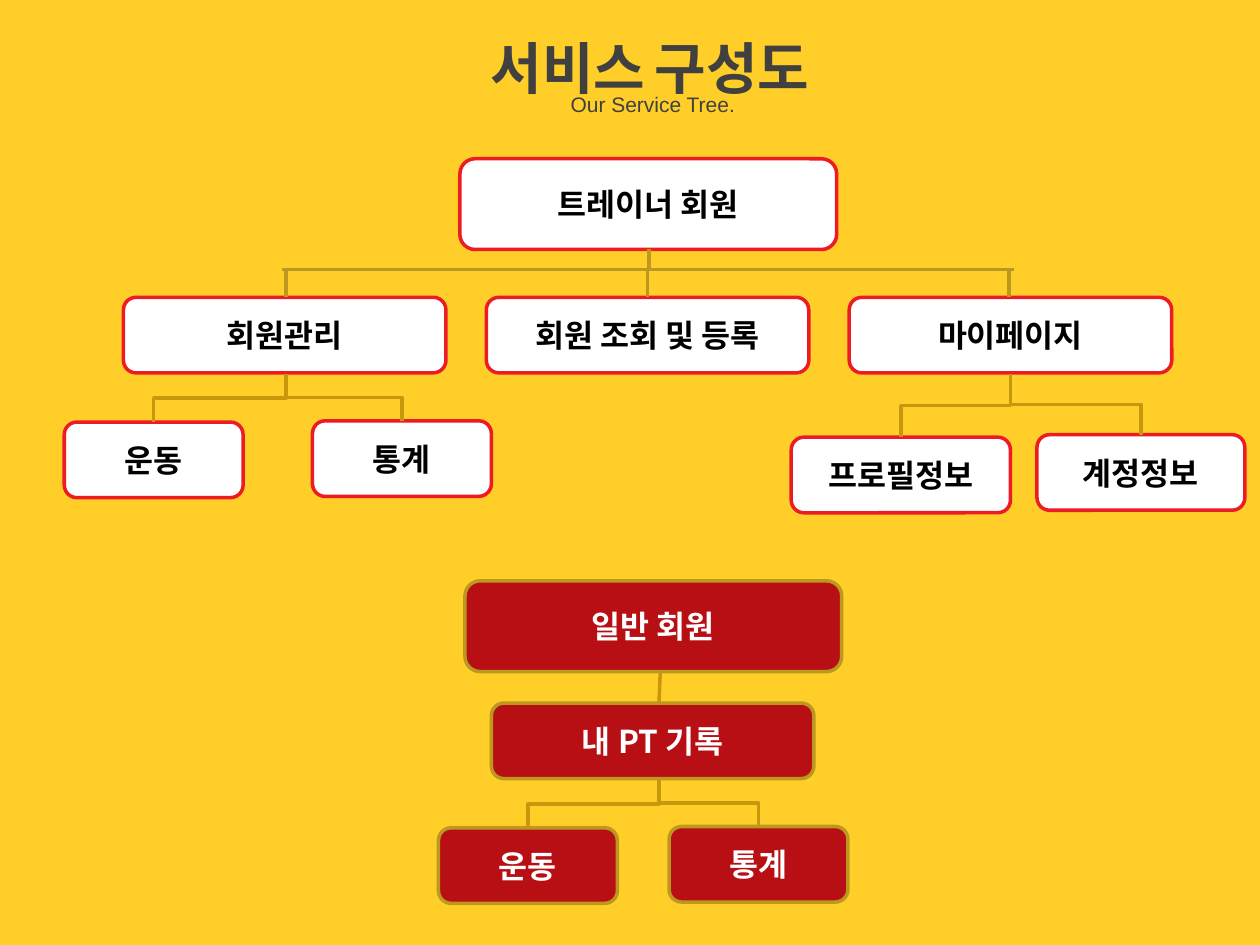
from lxml.etree import SubElement
from pptx import Presentation
from pptx.dml.color import RGBColor
from pptx.enum.shapes import MSO_CONNECTOR, MSO_SHAPE
from pptx.enum.text import MSO_ANCHOR, PP_ALIGN
from pptx.oxml.ns import qn
from pptx.util import Inches, Pt

YELLOW = RGBColor(0xFF, 0xCE, 0x29)
WHITE = RGBColor(0xFF, 0xFF, 0xFF)
BLACK = RGBColor(0x00, 0x00, 0x00)
GRAY = RGBColor(0x40, 0x40, 0x40)
RED = RGBColor(0xED, 0x1C, 0x24)
DARK_RED = RGBColor(0xB8, 0x0F, 0x15)
OLIVE = RGBColor(0xBD, 0x98, 0x1E)
GOLD = RGBColor(0xC7, 0x98, 0x0C)

KOREAN_FONT = "Noto Sans CJK KR"
TRAINER_STYLE = (WHITE, RED, BLACK)
MEMBER_STYLE = (DARK_RED, OLIVE, WHITE)
ROOT_SIZE = (2.99, 0.72)
BRANCH_SIZE = (2.56, 0.6)
LEAF_SIZE = (1.42, 0.6)


class ServiceTree:
    """Holds the slide and the common style of the tree."""

    line_width = Pt(2)
    box_text_size = 18

    def __init__(self, slide):
        self.slide = slide
        slide.background.fill.solid()
        slide.background.fill.fore_color.rgb = YELLOW

    def add_run(self, paragraph, text, size, font, color, bold=True):
        run = paragraph.add_run()
        run.text = text
        run.font.size = Pt(size)
        run.font.name = font
        run.font.bold = bold
        run.font.color.rgb = color
        east_asian = SubElement(run.font._element, qn("a:ea"))
        east_asian.set("typeface", KOREAN_FONT)

    def text(self, left, top, width, height, runs, font, bold, alignment, anchor):
        shape = self.slide.shapes.add_textbox(
            Inches(left), Inches(top), Inches(width), Inches(height))
        frame = shape.text_frame
        frame.word_wrap = True
        frame.vertical_anchor = anchor
        paragraph = frame.paragraphs[0]
        paragraph.alignment = alignment
        for text, size in runs:
            self.add_run(paragraph, text, size, font, GRAY, bold)

    def box(self, text, left, top, size, style, font=KOREAN_FONT):
        fill_color, line_color, text_color = style
        width, height = size
        shape = self.slide.shapes.add_shape(
            MSO_SHAPE.ROUNDED_RECTANGLE,
            Inches(left), Inches(top), Inches(width), Inches(height))
        shape.shadow.inherit = False
        shape.fill.solid()
        shape.fill.fore_color.rgb = fill_color
        shape.line.color.rgb = line_color
        shape.line.width = self.line_width
        frame = shape.text_frame
        frame.word_wrap = True
        frame.vertical_anchor = MSO_ANCHOR.MIDDLE
        paragraph = frame.paragraphs[0]
        paragraph.alignment = PP_ALIGN.CENTER
        self.add_run(paragraph, text, self.box_text_size, font, text_color)

    def line(self, start, end, color, kind=MSO_CONNECTOR.STRAIGHT):
        connector = self.slide.shapes.add_connector(
            kind, *(Inches(value) for value in (*start, *end)))
        connector.line.color.rgb = color
        connector.line.width = self.line_width
        SubElement(connector._element.spPr, qn("a:effectLst"))
        return connector

    def elbow(self, start, end):
        """Go down, across and down by turning a sideways elbow a quarter."""
        (start_x, start_y), (end_x, end_y) = start, end
        half_drop, half_span = (end_y - start_y) / 2, abs(end_x - start_x) / 2
        center_x, center_y = (start_x + end_x) / 2, (start_y + end_y) / 2
        near, far = center_x - half_drop, center_x + half_drop
        to_right = end_x > start_x
        if to_right:
            near, far = far, near
        connector = self.line((near, center_y - half_span), (far, center_y + half_span),
                              GOLD, MSO_CONNECTOR.ELBOW)
        transform = connector._element.spPr.find(qn("a:xfrm"))
        transform.set("rot", str((270 if to_right else 90) * 60000))


def main():
    presentation = Presentation()
    presentation.slide_width = Inches(10)
    presentation.slide_height = Inches(7.5)
    tree = ServiceTree(presentation.slides.add_slide(presentation.slide_layouts[6]))

    # Heading
    tree.text(0.28, 0.22, 9.76, 0.62, [("서비스", 32), (" ", 24), ("구성도", 32)],
              "Arial", True, PP_ALIGN.CENTER, MSO_ANCHOR.MIDDLE)

    # Trainer tree: root and main branches
    tree.box("트레이너 회원", 3.65, 1.26, ROOT_SIZE, TRAINER_STYLE, "Courier New")
    for index, label in enumerate(("회원관리", "회원 조회 및 등록", "마이페이지")):
        tree.box(label, 0.98 + 2.88 * index, 2.36, BRANCH_SIZE, TRAINER_STYLE)
    rail_y = 2.14
    tree.line((5.15, 1.98), (5.15, rail_y), OLIVE)
    tree.line((2.24, rail_y), (8.05, rail_y), OLIVE)
    for x in (2.27, 5.14, 8.01):
        tree.line((x, rail_y), (x, 2.36), OLIVE)

    # Member tree: root and branch
    tree.line((5.24, 5.34), (5.23, 5.58), GOLD)
    tree.box("일반 회원", 3.69, 4.61, ROOT_SIZE, MEMBER_STYLE, "Courier New")
    tree.box("내 PT 기록", 3.9, 5.58, BRANCH_SIZE, MEMBER_STYLE)

    # Leaves, each joined to the foot of its branch
    leaves = [
        ("운동", 0.51, 3.35, LEAF_SIZE, TRAINER_STYLE, (2.27, 2.97)),
        ("통계", 2.48, 3.34, LEAF_SIZE, TRAINER_STYLE, (2.27, 2.97)),
        ("프로필정보", 6.28, 3.47, (1.74, 0.6), TRAINER_STYLE, (8.02, 2.97)),
        ("계정정보", 8.23, 3.45, (1.65, 0.6), TRAINER_STYLE, (8.02, 2.97)),
        ("운동", 3.48, 6.57, LEAF_SIZE, MEMBER_STYLE, (5.23, 6.19)),
        ("통계", 5.31, 6.56, LEAF_SIZE, MEMBER_STYLE, (5.23, 6.19)),
    ]
    for label, left, top, size, style, branch_foot in leaves:
        tree.box(label, left, top, size, style)
        tree.elbow(branch_foot, (left + size[0] / 2, top))

    # Subtitle
    tree.text(4.43, 0.68, 4.49, 0.3, [("Our Service Tree.", 12)],
              "Arial", False, PP_ALIGN.LEFT, MSO_ANCHOR.TOP)

    presentation.save("out.pptx")


if __name__ == "__main__":
    main()
